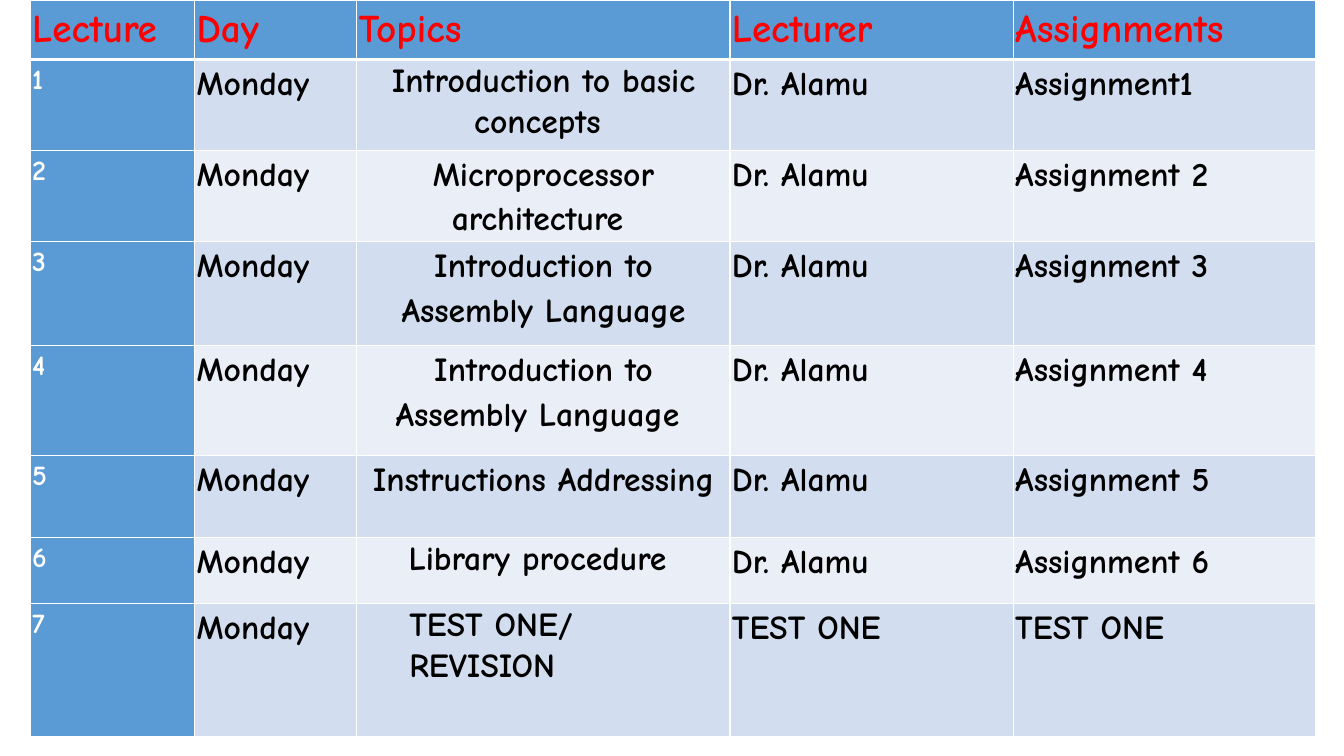
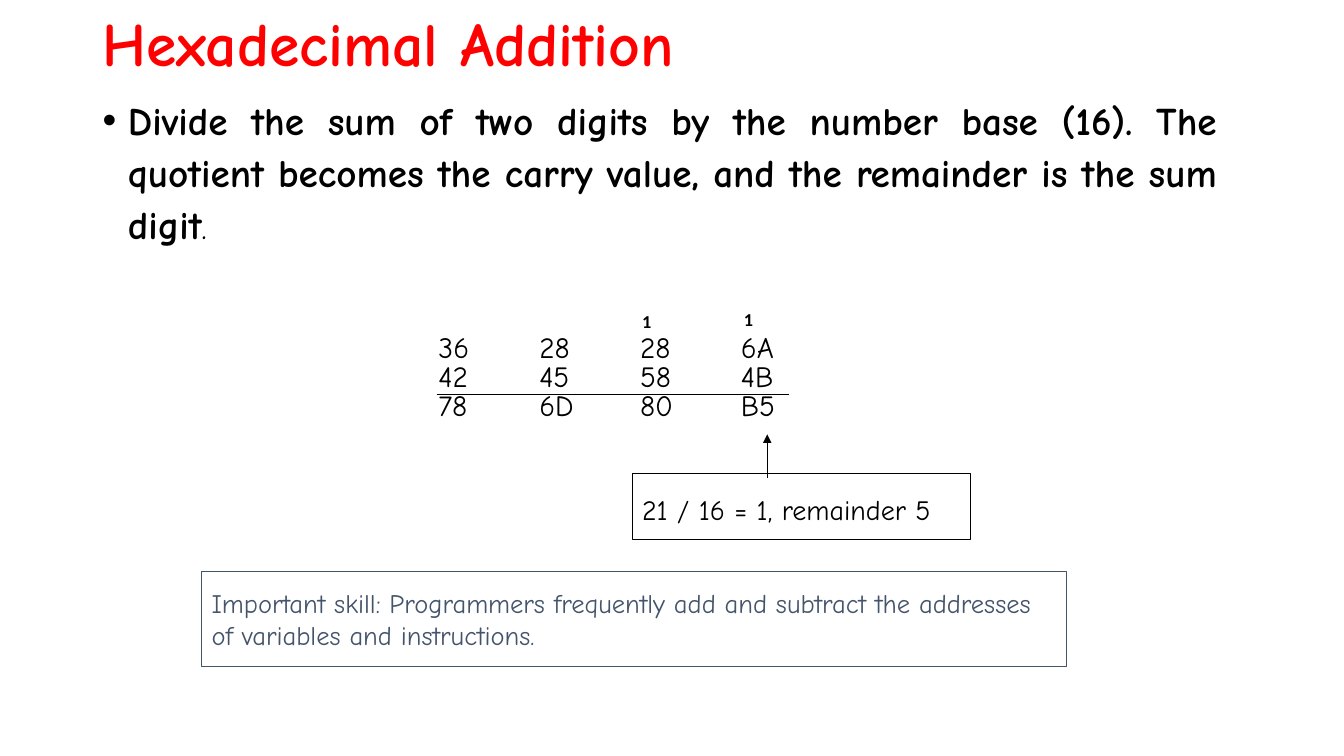
from lxml import etree
from pptx import Presentation
from pptx.dml.color import RGBColor
from pptx.enum.shapes import MSO_CONNECTOR, MSO_SHAPE
from pptx.enum.text import MSO_ANCHOR, MSO_AUTO_SIZE, PP_ALIGN
from pptx.oxml.ns import qn
from pptx.util import Inches, Pt

CENTER, JUSTIFY, LEFT = PP_ALIGN.CENTER, PP_ALIGN.JUSTIFY, PP_ALIGN.LEFT
TOP, MIDDLE = MSO_ANCHOR.TOP, MSO_ANCHOR.MIDDLE
GROW = MSO_AUTO_SIZE.SHAPE_TO_FIT_TEXT
STRAIGHT, RECTANGLE = MSO_CONNECTOR.STRAIGHT, MSO_SHAPE.RECTANGLE

# Shared look
COLORS = {"red": "FF0000", "black": "000000", "white": "FFFFFF", "slate": "44546A",
          "blue": "5B9BD5", "dark_band": "D2DEEF", "light_band": "EAEFF7"}
FONT, CARRY_FONT = "Comic Neue", "Calibri"
NOTE_INSETS = (0.1, 0.15, 0.1, 0.15)
CELL_INSETS = (0.02, 0, 0.02, 0)

# Schedule: topic, line spacing, lecturer, assignment
HEADINGS = ["Lecture", "Day", "Topics", "Lecturer", "Assignments"]
DAY, LECTURER = "Monday", "Dr. Alamu"
LECTURES = [
    ("Introduction to basic concepts\u00a0", 1.07, LECTURER, "Assignment1"),
    ("Microprocessor architecture\u00a0", 1.15, LECTURER, "Assignment 2"),
    ("Introduction to\nAssembly Language", 1.15, LECTURER, "Assignment 3"),
    ("Introduction to\nAssembly Language\u00a0", 1.15, LECTURER, "Assignment 4"),
    ("Instructions Addressing", 1.15, LECTURER, "Assignment 5"),
    ("Library procedure\u00a0", 1.07, LECTURER, "Assignment 6"),
    ("TEST ONE/ REVISION", 1.07, "TEST ONE", "TEST ONE"),
]
COLUMN_WIDTHS = [1.63, 1.61, 3.7, 2.81, 3]
ROW_HEIGHTS = [0.59, 0.9, 0.91, 1.03, 1.09, 0.81, 0.66, 1.32]
TOPIC_COLUMN = 2

# Hexadecimal addition
TITLE = "Hexadecimal Addition"
RULE_TEXT = ("Divide the sum of two digits by the number base (16). The quotient becomes "
             "the carry value, and the remainder is the sum digit")
SUMS = [("36", "28", "28", "6A"), ("42", "45", "58", "4B"), ("78", "6D", "80", "B5")]
SUM_PITCH = 1
CARRIES = [(7.28, 2.95), (6.27, 2.97)]
CALLOUT = "21 / 16 = 1, remainder 5"
SKILL = ("Important skill: Programmers frequently add and subtract the addresses "
         "of variables and instructions.")


def rgb(name):
    return RGBColor.from_string(COLORS[name])


def style_run(span, size, color, bold=False, font=FONT):
    span.font.name, span.font.size, span.font.bold = font, Pt(size), bold
    span.font.color.rgb = rgb(color)


def style_paragraph(para, size, color, bold=False, font=FONT, spacing=1.0, align=LEFT):
    para.line_spacing, para.alignment = spacing, align
    for span in para.runs:
        style_run(span, size, color, bold, font)


def half_line_before(para):
    before = etree.SubElement(para._p.get_or_add_pPr(), qn("a:spcBef"))
    etree.SubElement(before, qn("a:spcPct"), val="50000")


def set_tab_stops(para, count, pitch):
    stops = etree.SubElement(para._p.get_or_add_pPr(), qn("a:tabLst"))
    for number in range(1, count + 1):
        etree.SubElement(stops, qn("a:tab"), pos=str(Inches(number * pitch)), algn="l")


def set_indent(para, left, first=0):
    properties = para._p.get_or_add_pPr()
    properties.set("marL", str(Inches(left)))
    properties.set("indent", str(Inches(first)))
    return properties


def set_insets(holder, insets):
    (holder.margin_left, holder.margin_top,
     holder.margin_right, holder.margin_bottom) = map(Inches, insets)


def add_text(page, place, lines, size, color, insets=(0.1, 0.05, 0.1, 0.05),
             anchor=TOP, outlined=False, note=False, **style):
    place = [Inches(value) for value in place]
    if outlined:
        box = page.shapes.add_shape(RECTANGLE, *place)
        box.shadow.inherit = False
        box.fill.background()
        box.line.color.rgb, box.line.width = rgb(color), Pt(0.75)
    else:
        box = page.shapes.add_textbox(*place)
    frame = box.text_frame
    frame.word_wrap, frame.vertical_anchor = True, anchor
    set_insets(frame, NOTE_INSETS if note else insets)
    frame.text = "\n".join(lines)
    for para in frame.paragraphs:
        style_paragraph(para, size, color, **style)
        if note:
            half_line_before(para)
    if note:
        frame.auto_size = GROW
    return frame


def add_line(page, *ends, arrow=False):
    line = page.shapes.add_connector(STRAIGHT, *map(Inches, ends))
    line.line.color.rgb, line.line.width = rgb("black"), Pt(0.75)
    if arrow:
        etree.SubElement(line.line._get_or_add_ln(), qn("a:tailEnd"), type="triangle")
    etree.SubElement(line._element.spPr, qn("a:effectLst"))


def set_borders(cell, bottom):
    properties = cell._tc.get_or_add_tcPr()
    for side, width in (("L", 1), ("R", 1), ("T", 1), ("B", bottom)):
        edge = etree.SubElement(properties, qn("a:ln" + side), w=str(Pt(width)))
        fill = etree.SubElement(edge, qn("a:solidFill"))
        etree.SubElement(fill, qn("a:srgbClr"), val=COLORS["white"])


def fill_cell(cell, text, fill, size, color, spacing=1.15, align=LEFT, bottom=1):
    set_borders(cell, bottom)
    cell.fill.solid()
    cell.fill.fore_color.rgb = rgb(fill)
    set_insets(cell, CELL_INSETS)
    para = cell.text_frame.paragraphs[0]
    para.text = text
    style_paragraph(para, size, color, bold=True, spacing=spacing, align=align)
    return para


deck = Presentation()
deck.slide_width, deck.slide_height = Inches(13.33), Inches(7.5)
blank = deck.slide_layouts[6]

# Lecture schedule
page = deck.slides.add_slide(blank)
table = page.shapes.add_table(
    len(ROW_HEIGHTS), len(COLUMN_WIDTHS), Inches(0.3), Inches(0),
    Inches(sum(COLUMN_WIDTHS)), Inches(sum(ROW_HEIGHTS))).table
for column, width in zip(table.columns, COLUMN_WIDTHS):
    column.width = Inches(width)
for row, height in zip(table.rows, ROW_HEIGHTS):
    row.height = Inches(height)
for index, heading in enumerate(HEADINGS):
    fill_cell(table.cell(0, index), heading, "blue", 28, "red", bottom=3)
for number, (topic, spacing, lecturer, assignment) in enumerate(LECTURES, 1):
    band = "dark_band" if number % 2 else "light_band"
    fill_cell(table.cell(number, 0), str(number), "blue", 20, "white")
    for index, text in enumerate((DAY, topic, lecturer, assignment), 1):
        is_topic = index == TOPIC_COLUMN
        is_test = number == len(LECTURES)
        para = fill_cell(table.cell(number, index), text, band, 24, "black",
                         spacing=spacing if is_topic else 1.15,
                         align=CENTER if is_topic and not is_test else LEFT)
        if is_topic and is_test:
            set_indent(para, 0.5)

# Title and rule
page = deck.slides.add_slide(blank)
add_text(page, (0.92, 0.07, 11.5, 0.79), [TITLE], 44, "red",
         anchor=MIDDLE, bold=True, spacing=0.9)
rule = add_text(page, (0.92, 0.86, 11.25, 1.01), [RULE_TEXT], 28, "black",
                bold=True, spacing=1.1, align=JUSTIFY).paragraphs[0]
rule.space_before = Pt(10)
full_stop = rule.add_run()
full_stop.text = "."
style_run(full_stop, 24, "black")
bullet_properties = set_indent(rule, 0.25, -0.25)
etree.SubElement(bullet_properties, qn("a:buFont"), typeface="Arial")
etree.SubElement(bullet_properties, qn("a:buChar"), char="\u2022")

# Worked sums with carries
sums = add_text(page, (4.25, 3.3, 4.25, 1.07), ["\t".join(numbers) for numbers in SUMS],
                21, "black", note=True, spacing=0.4)
for para in sums.paragraphs:
    set_tab_stops(para, len(SUMS[0]) - 1, SUM_PITCH)
add_line(page, 4.33, 3.91, 7.83, 3.91)
for left, top in CARRIES:
    add_text(page, (left, top, 0.31, 0.52), ["1"], 13, "black",
             note=True, bold=True, font=CARRY_FONT)

# Callout and skill note
add_line(page, 7.61, 4.74, 7.61, 4.31, arrow=True)
add_text(page, (6.27, 4.7, 3.36, 0.65), [CALLOUT], 20, "black",
         outlined=True, note=True, spacing=1.1)
add_text(page, (2, 5.67, 8.58, 0.94), [SKILL], 19, "slate", outlined=True, note=True)

deck.save("out.pptx")
